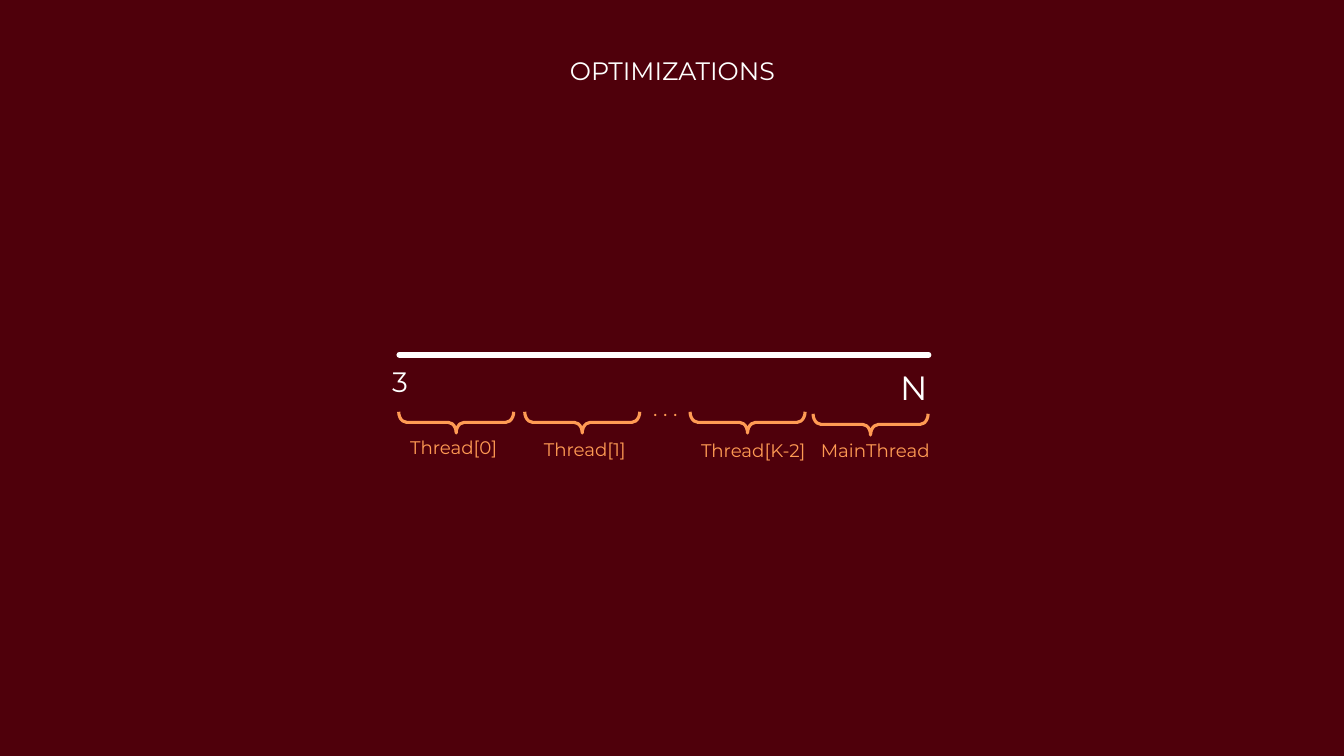
from dataclasses import dataclass

import pptx
import pptx.dml.color
import pptx.enum.shapes
import pptx.enum.text
import pptx.oxml.ns
import pptx.slide
import pptx.util
from lxml import etree

Inches = pptx.util.Inches
ALIGN = pptx.enum.text.PP_ALIGN
COLORS = {"background": "4F000B", "white": "FFFFFF", "orange": "FF9B54"}
FONT = "Montserrat"
BRACE_WIDTH, BRACE_LENGTH = 0.21, 1.14


@dataclass
class Label:
    text: str
    left: float
    top: float
    width: float
    height: float
    size: int
    color: str = "white"
    align: ALIGN = ALIGN.CENTER
    wrap: bool = True


@dataclass
class Thread:
    brace_left: float
    brace_top: float
    label: Label


def thread(name: str, brace_left: float, brace_top: float,
           left: float, top: float, width: float) -> Thread:
    return Thread(brace_left, brace_top, Label(name, left, top, width, 0.32, 13, "orange"))


LABELS = [
    Label("OPTIMIZATIONS", 3.95, 0.5, 5.44, 0.4, 18),
    Label("3", 3.79, 3.57, 0.64, 0.44, 20, align=ALIGN.LEFT),
    Label("N", 8.83, 3.59, 0.36, 0.5, 24, align=ALIGN.LEFT),
    Label(". . .", 6.38, 3.87, 0.44, 0.35, 15, "orange", wrap=False),
]
THREADS = [
    thread("Thread[0]", 4.42, 3.62, 3.85, 4.28, 1.3),
    thread("Thread[1]", 5.67, 3.62, 5.15, 4.3, 1.3),
    thread("MainThread", 8.53, 3.64, 7.82, 4.31, 1.72),
    thread("Thread[K-2]", 7.31, 3.62, 6.73, 4.31, 1.48),
]


def rgb(name: str) -> pptx.dml.color.RGBColor:
    return pptx.dml.color.RGBColor.from_string(COLORS[name])


def draw_label(s: pptx.slide.Slide, label: Label) -> None:
    sp = s.shapes.add_textbox(Inches(label.left), Inches(label.top),
                              Inches(label.width), Inches(label.height))
    tf = sp.text_frame
    tf.word_wrap = label.wrap
    tf.auto_size = pptx.enum.text.MSO_AUTO_SIZE.SHAPE_TO_FIT_TEXT
    p = tf.paragraphs[0]
    p.alignment = label.align
    r = p.add_run()
    r.text = label.text
    r.font.name = FONT
    r.font.size = pptx.util.Pt(label.size)
    r.font.color.rgb = rgb(label.color)


def draw_range_line(s: pptx.slide.Slide) -> None:
    line = s.shapes.add_connector(pptx.enum.shapes.MSO_CONNECTOR.STRAIGHT,
                                  Inches(3.96), Inches(3.52), Inches(9.21), Inches(3.52))
    line.line.color.rgb = rgb("white")
    line.line.width = pptx.util.Pt(4)
    qn = pptx.oxml.ns.qn
    props = line._element.spPr
    props.find(qn("a:ln")).set("cap", "rnd")
    etree.SubElement(props, qn("a:effectLst"))


def draw_thread(s: pptx.slide.Slide, item: Thread) -> None:
    brace = s.shapes.add_shape(pptx.enum.shapes.MSO_SHAPE.LEFT_BRACE,
                               Inches(item.brace_left), Inches(item.brace_top),
                               Inches(BRACE_WIDTH), Inches(BRACE_LENGTH))
    brace.rotation = 270
    brace.adjustments[0] = 0.375
    brace.adjustments[1] = 0.5
    brace.shadow.inherit = False
    brace.fill.background()
    brace.line.color.rgb = rgb("orange")
    brace.line.width = pptx.util.Pt(2.25)
    draw_label(s, item.label)


def main() -> None:
    prs = pptx.Presentation()
    prs.slide_width, prs.slide_height = Inches(13.33), Inches(7.5)
    s = prs.slides.add_slide(prs.slide_layouts[6])
    s.background.fill.solid()
    s.background.fill.fore_color.rgb = rgb("background")
    draw_range_line(s)
    for label in LABELS:
        draw_label(s, label)
    for item in THREADS:
        draw_thread(s, item)
    prs.save("out.pptx")


if __name__ == "__main__":
    main()
